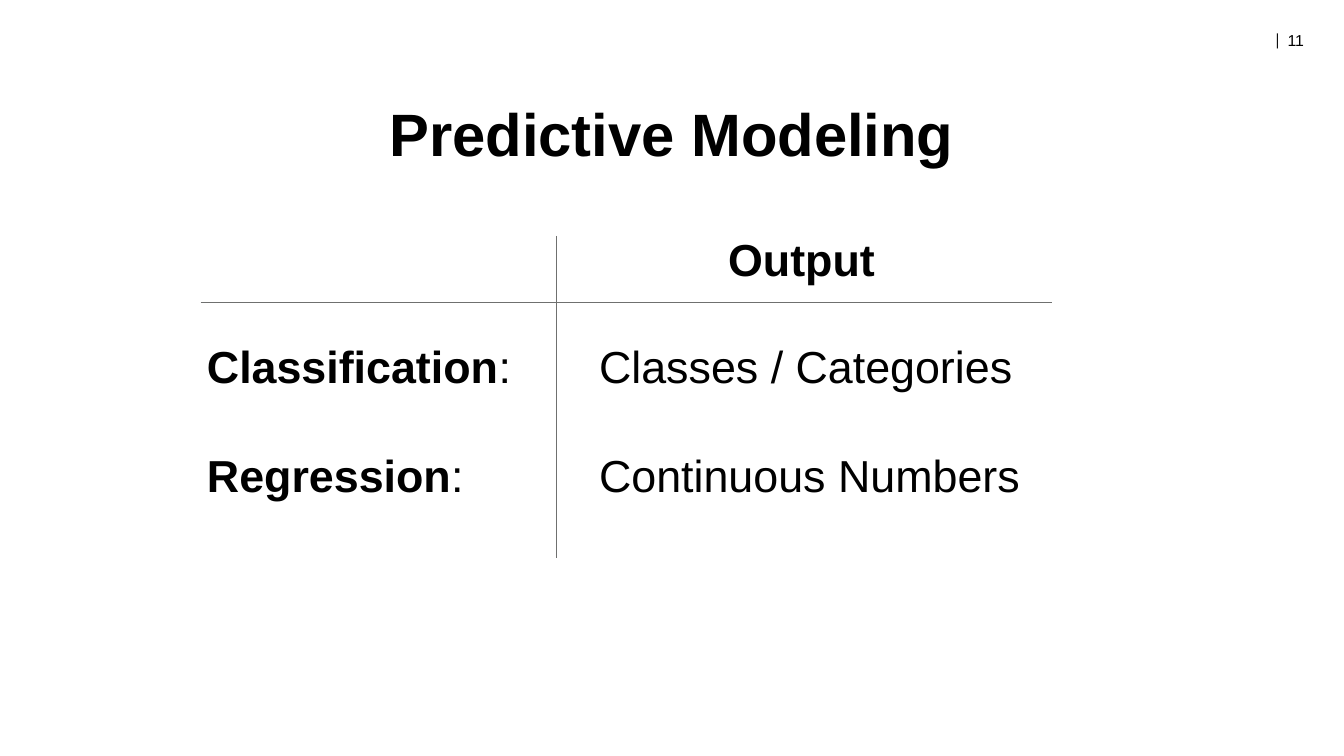
from lxml.etree import SubElement
from pptx import Presentation
from pptx.dml.color import RGBColor
from pptx.enum.shapes import MSO_CONNECTOR
from pptx.enum.text import MSO_ANCHOR, PP_ALIGN
from pptx.oxml.ns import qn
from pptx.util import Pt

BLACK = RGBColor(0x00, 0x00, 0x00)
GRAY = RGBColor(0x6F, 0x70, 0x6F)
FONT = "Arial"
INSET = 9.6
BODY_SIZE = 32
ROW_GAP = 39.6
BODY_TOP = 232


def set_font(font, size, bold=None, name=FONT):
    """Apply typeface, size, weight and black colour to a font."""
    font.name = name
    font.size = Pt(size)
    font.bold = bold
    font.color.rgb = BLACK


def add_box(slide, left, top, width, height, inset=INSET):
    """Add a wrapping text box and return its text frame."""
    frame = slide.shapes.add_textbox(Pt(left), Pt(top), Pt(width), Pt(height)).text_frame
    frame.word_wrap = True
    frame.margin_left = frame.margin_right = Pt(inset)
    frame.margin_top = frame.margin_bottom = Pt(inset)
    return frame


def add_heading(slide, text, left, top, width, height, size, align):
    """Add a bold one-line heading."""
    frame = add_box(slide, left, top, width, height)
    frame.vertical_anchor = MSO_ANCHOR.MIDDLE if align == PP_ALIGN.CENTER else MSO_ANCHOR.TOP
    paragraph = frame.paragraphs[0]
    paragraph.text = text
    paragraph.alignment = align
    set_font(paragraph.font, size, True)


def add_column(slide, left, width, rows):
    """Add a column of rows, each a list of (text, bold) runs."""
    frame = add_box(slide, left, BODY_TOP, width, 267)
    for index, row in enumerate(rows):
        paragraph = frame.add_paragraph() if index else frame.paragraphs[0]
        if index:
            paragraph.space_before = Pt(ROW_GAP)
        set_font(paragraph.font, BODY_SIZE)
        for text, bold in row:
            run = paragraph.add_run()
            run.text = text
            run.font.bold = bold


def add_rule(slide, start_x, start_y, end_x, end_y):
    """Add a thin gray line without a shadow."""
    rule = slide.shapes.add_connector(
        MSO_CONNECTOR.STRAIGHT, Pt(start_x), Pt(start_y), Pt(end_x), Pt(end_y))
    rule.line.color.rgb = GRAY
    rule.line.width = Pt(0.75)
    SubElement(rule._element.spPr, qn("a:effectLst"))


def add_page_number(slide, number):
    """Add the page number, set off from its bar by a tab stop."""
    frame = add_box(slide, 903.6, 20.2, 56, 18.7, 7.2)
    frame.margin_top = frame.margin_bottom = Pt(3.6)
    frame.word_wrap = False
    paragraph = frame.paragraphs[0]
    paragraph.line_spacing = 0.8
    tabs = SubElement(paragraph._p.get_or_add_pPr(), qn("a:tabLst"))
    SubElement(tabs, qn("a:tab"), pos=str(Pt(9)), algn="l")
    for text, size, name in (("|\t", 12, "Cambria"), (number, 11.3, FONT)):
        run = paragraph.add_run()
        run.text = text
        set_font(run.font, size, name=name)


def main():
    """Build and save the slide."""
    presentation = Presentation()
    presentation.slide_width = Pt(960)
    presentation.slide_height = Pt(540)
    slide = presentation.slides.add_slide(presentation.slide_layouts[6])

    add_page_number(slide, "11")
    add_heading(slide, "Predictive Modeling", 48, 52.6, 864, 84.2, 42.7, PP_ALIGN.CENTER)
    add_column(slide, 138.2, 252.7, [
        [(label, True), (":", False)] for label in ("Classification", "Regression")])
    add_column(slide, 418.3, 465.1, [
        [(output, False)] for output in ("Classes / Categories", "Continuous Numbers")])
    add_heading(slide, "Output", 510.5, 155.6, 373, 47.5, BODY_SIZE, PP_ALIGN.LEFT)
    add_rule(slide, 143.3, 216, 751.7, 216)
    add_rule(slide, 397.4, 168.5, 397.4, 398.9)

    presentation.save("out.pptx")


if __name__ == "__main__":
    main()
